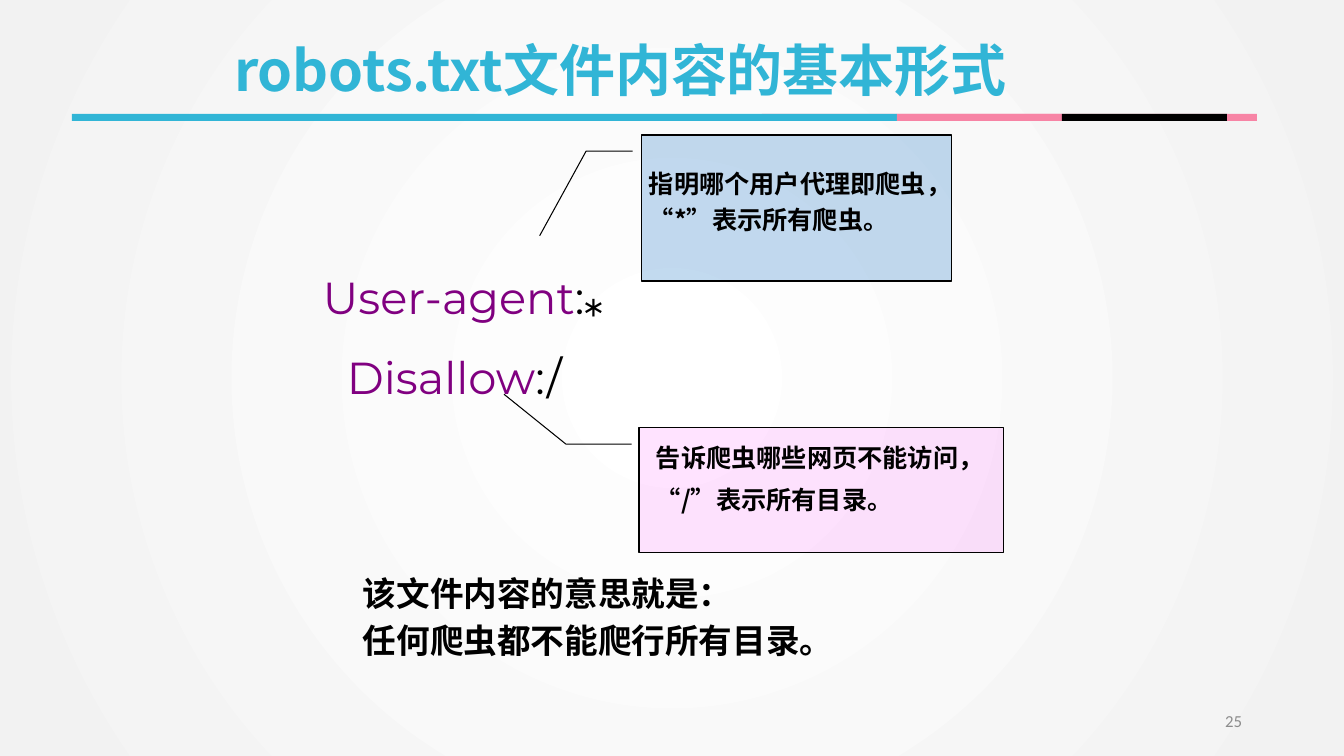
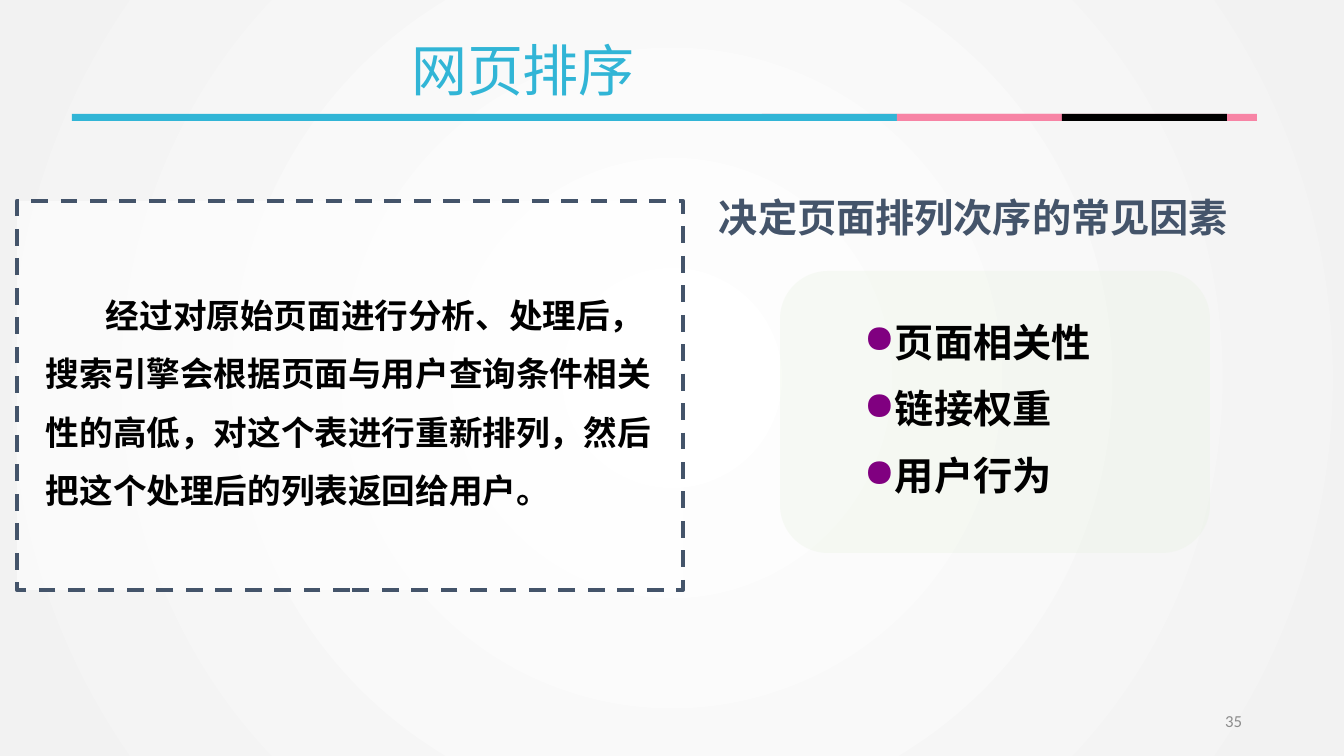
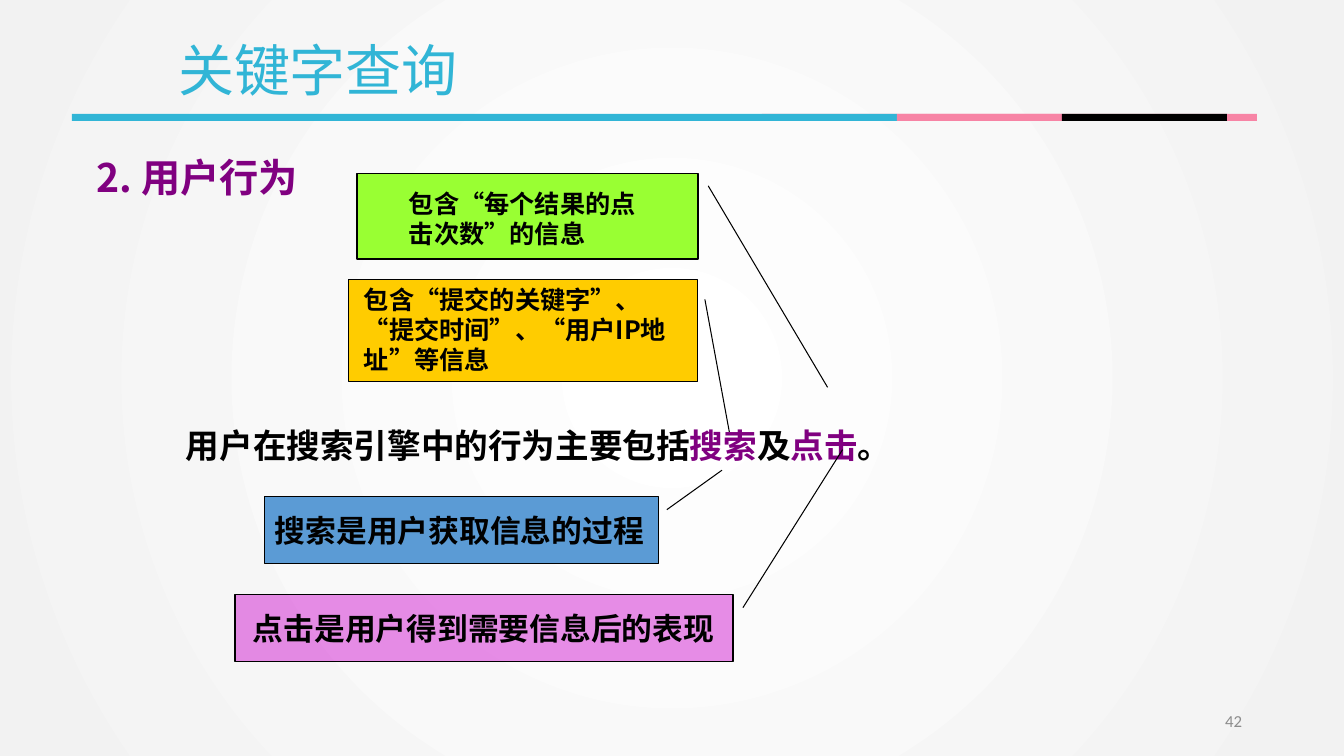
"""Build three slides on how search engines crawl and rank pages."""
from itertools import groupby

from lxml.etree import SubElement
from pptx import Presentation
from pptx.dml.color import RGBColor
from pptx.enum.dml import MSO_LINE
from pptx.enum.shapes import MSO_SHAPE as SHAPE
from pptx.enum.text import MSO_ANCHOR as ANCHOR, MSO_AUTO_SIZE as AUTO, PP_ALIGN as ALIGN
from pptx.oxml.ns import qn
from pptx.util import Pt

PX = 914400 / 100.8
CJK, LATIN, QUOTE, CODE = "Noto Sans CJK SC", "Calibri", "Arial", "Montserrat"
WHITE = RGBColor(0xFF, 0xFF, 0xFF)
BLACK = RGBColor(0, 0, 0)
PALE = RGBColor(0xF2, 0xF2, 0xF2)
GREY = RGBColor(0x8C, 0x8C, 0x8C)
CYAN = RGBColor(0x31, 0xB5, 0xD6)
PINK = RGBColor(0xF7, 0x84, 0xA5)
PURPLE = RGBColor(0x80, 0, 0x80)
SLATE = RGBColor(0x44, 0x54, 0x6A)
BLUE = RGBColor(0x5B, 0x9B, 0xD5)
MAGENTA = RGBColor(0xFF, 0, 0xFF)
ORCHID = RGBColor(0xCC, 0, 0xCC)
AMBER = RGBColor(0xFF, 0xCC, 0)
LIME = RGBColor(0x99, 0xFF, 0x33)
MINT = RGBColor(0xE2, 0xF0, 0xD9)


def px(length):
    return round(length * PX)


def quoted(text):
    return [("".join(group), {"face": QUOTE if is_quote else CJK})
            for is_quote, group in groupby(text, lambda letter: letter in "“”")]


class Deck:
    def __init__(self):
        self.file = Presentation()
        self.file.slide_width, self.file.slide_height = px(1344), px(756)
        self.page = None
        fill = self.file.slide_master.background.fill
        fill.gradient()
        for stop, color in zip(fill.gradient_stops, (WHITE, PALE)):
            stop.color.rgb = color
        gradient = self.file.slide_master.element.find(".//" + qn("a:gradFill"))
        gradient.remove(gradient.find(qn("a:lin")))
        path = SubElement(gradient, qn("a:path"), {"path": "circle"})
        SubElement(path, qn("a:fillToRect"), dict.fromkeys("ltrb", "50000"))

    def add_page(self, title, left, width, number, bold=False):
        self.page = self.file.slides.add_slide(self.file.slide_layouts[5])
        for i in range(3):
            self.shape(SHAPE.RECTANGLE, 762 + 165 * i, 114, 165, 7, PINK)
        for i, color in enumerate([CYAN] * 5 + [PINK, BLACK]):
            self.shape(SHAPE.RECTANGLE, 72 + 165 * i, 114, 165, 7, color)
        box = self.page.shapes.title
        box.left, box.top, box.width, box.height = map(px, (left, 30, width, 78))
        frame = box.text_frame
        frame.auto_size, frame.word_wrap = AUTO.NONE, False
        frame.vertical_anchor = ANCHOR.MIDDLE
        frame.paragraphs[0].alignment = ALIGN.LEFT
        self.span(frame.paragraphs[0], title, 40, CYAN, CJK, bold)
        footer = self.text(950, 701, 302, 40, [number], 12, color=GREY, bold=False)
        footer.vertical_anchor = ANCHOR.MIDDLE
        footer.paragraphs[0].alignment = ALIGN.RIGHT

    def shape(self, kind, left, top, width, height, color, opacity=100,
              line=None, weight=0.75, adjust=()):
        box = self.page.shapes.add_shape(kind, *map(px, (left, top, width, height)))
        box.shadow.inherit = False
        for i, value in enumerate(adjust):
            box.adjustments[i] = value
        box.fill.solid()
        box.fill.fore_color.rgb = color
        if opacity < 100:
            tint = box.fill._xPr.find(".//" + qn("a:srgbClr"))
            SubElement(tint, qn("a:alpha"), {"val": str(opacity * 1000)})
        if line is None:
            box.line.fill.background()
        else:
            box.line.color.rgb = line
            box.line.width = Pt(weight)
        return box

    def callout(self, kind, left, top, width, height, color, adjust, opacity=100):
        self.shape(kind, left, top, width, height, color, opacity, BLACK, adjust=adjust)

    def span(self, para, text, size, color, face, bold, baseline=0):
        run = para.add_run()
        run.text = text
        font = run.font
        font.size, font.bold, font.name = Pt(size), bold, face
        font.color.rgb = color
        props = run._r.get_or_add_rPr()
        SubElement(props, qn("a:ea"), {"typeface": CJK})
        if baseline:
            props.set("baseline", str(baseline * 1000))

    def text(self, left, top, width, height, paras, size, pitch=None, face=LATIN,
             color=BLACK, bold=True, bullet=None, margin=0, indent=0):
        box = self.page.shapes.add_textbox(*map(px, (left, top, width, height)))
        frame = box.text_frame
        frame.word_wrap = True
        for i, spans in enumerate(paras):
            para = frame.add_paragraph() if i else frame.paragraphs[0]
            props = para._p.get_or_add_pPr()
            if margin or indent:
                props.set("marL", str(px(margin)))
                props.set("indent", str(px(indent)))
            if bullet:
                tint = SubElement(props, qn("a:buClr"))
                SubElement(tint, qn("a:srgbClr"), {"val": str(bullet)})
                SubElement(props, qn("a:buChar"), {"char": "●"})
            if pitch:
                para.line_spacing = Pt(pitch)
            for text, changes in [(spans, {})] if isinstance(spans, str) else spans:
                style = {"size": size, "color": color, "face": face, "bold": bold}
                self.span(para, text, **{**style, **changes})
        return frame


def robots_page(deck):
    deck.add_page("robots.txt文件内容的基本形式", 224, 815, "25", bold=True)
    purple = {"color": PURPLE}
    deck.text(313, 226, 381, 78,
              [[("User-agent", purple), (":", {}), ("*", {"size": 60, "baseline": -25})]],
              32, face=CODE, bold=False)
    deck.text(337, 345, 257, 64, [[("Disallow", purple), (":/", {})]],
              32, face=CODE, bold=False)
    deck.callout(SHAPE.LINE_CALLOUT_2, 642, 135, 310, 146, BLUE,
                 (0.11, -0.03, 0.11, -0.18, 0.69, -0.33), 37)
    deck.text(639, 157, 338, 94, [quoted("指明哪个用户代理即爬虫，“*”表示所有爬虫。")], 18, 26)
    deck.callout(SHAPE.LINE_CALLOUT_2, 639, 428, 365, 125, MAGENTA,
                 (0.13, -0.02, 0.13, -0.2, -0.27, -0.37), 11)
    deck.text(646, 426, 357, 104, [quoted("告诉爬虫哪些网页不能访问，“/”表示所有目录。")], 18, 30)
    deck.text(353, 561, 524, 99,
              ["该文件内容的意思就是：", "任何爬虫都不能爬行所有目录。"], 24, 33.6)


def ranking_page(deck):
    deck.add_page("网页排序", 401, 247, "35")
    frame = deck.shape(SHAPE.RECTANGLE, 17, 201, 666, 389, WHITE, 60, SLATE, 3)
    frame.line.dash_style = MSO_LINE.DASH
    deck.text(36, 272, 650, 244,
              ["经过对原始页面进行分析、处理后，搜索引擎会根据页面与用户查询条件相关性的高低，"
               "对这个表进行重新排列，然后把这个处理后的列表返回给用户。"], 24, 41.7, indent=60)
    deck.text(709, 188, 572, 57, ["决定页面排列次序的常见因素"], 28, 33.6, color=SLATE)
    deck.shape(SHAPE.ROUNDED_RECTANGLE, 780, 271, 430, 282, MINT, 24, adjust=(0.17,))
    deck.text(854, 293, 318, 211, ["页面相关性", "链接权重", "用户行为"], 28, 47.8,
              face=CJK, bullet=PURPLE, margin=31, indent=-31)


def query_page(deck):
    deck.add_page("关键字查询", 168, 303, "42")
    deck.text(87, 148, 262, 57, ["2. 用户行为"], 28, 33.6, face=CJK, color=PURPLE)
    purple = {"color": PURPLE}
    deck.text(176, 413, 763, 58,
              [[("用户在搜索引擎中的行为主要包括", {}), ("搜索", purple), ("及", {}),
                ("点击", purple), ("。", {})]], 24, 34)
    kind = SHAPE.LINE_CALLOUT_1
    deck.callout(kind, 265, 497, 394, 67, BLUE, (0.19, 1.02, -0.4, 1.16))
    deck.text(265, 507, 405, 47, ["搜索是用户获取信息的过程"], 22, 26.4)
    deck.callout(kind, 235, 595, 498, 67, ORCHID, (0.19, 1.02, -2.17, 1.22), 44)
    deck.text(243, 605, 492, 47, ["点击是用户得到需要信息后的表现"], 22, 26.4)
    deck.callout(kind, 349, 280, 349, 102, AMBER, (0.19, 1.02, 1.49, 1.09))
    deck.text(354, 280, 342, 107,
              [quoted("包含“提交的关键字”、“提交时间”、“用户IP地址”等信息")], 18, 21.4)
    deck.callout(kind, 357, 174, 341, 85, LIME, (0.14, 1.03, 2.51, 1.38))
    deck.text(399, 184, 254, 66, ["包含“每个结果的点击次数”的信息"], 18, 21.4)


def main():
    deck = Deck()
    for build in (robots_page, ranking_page, query_page):
        build(deck)
    deck.file.save("out.pptx")


if __name__ == "__main__":
    main()
